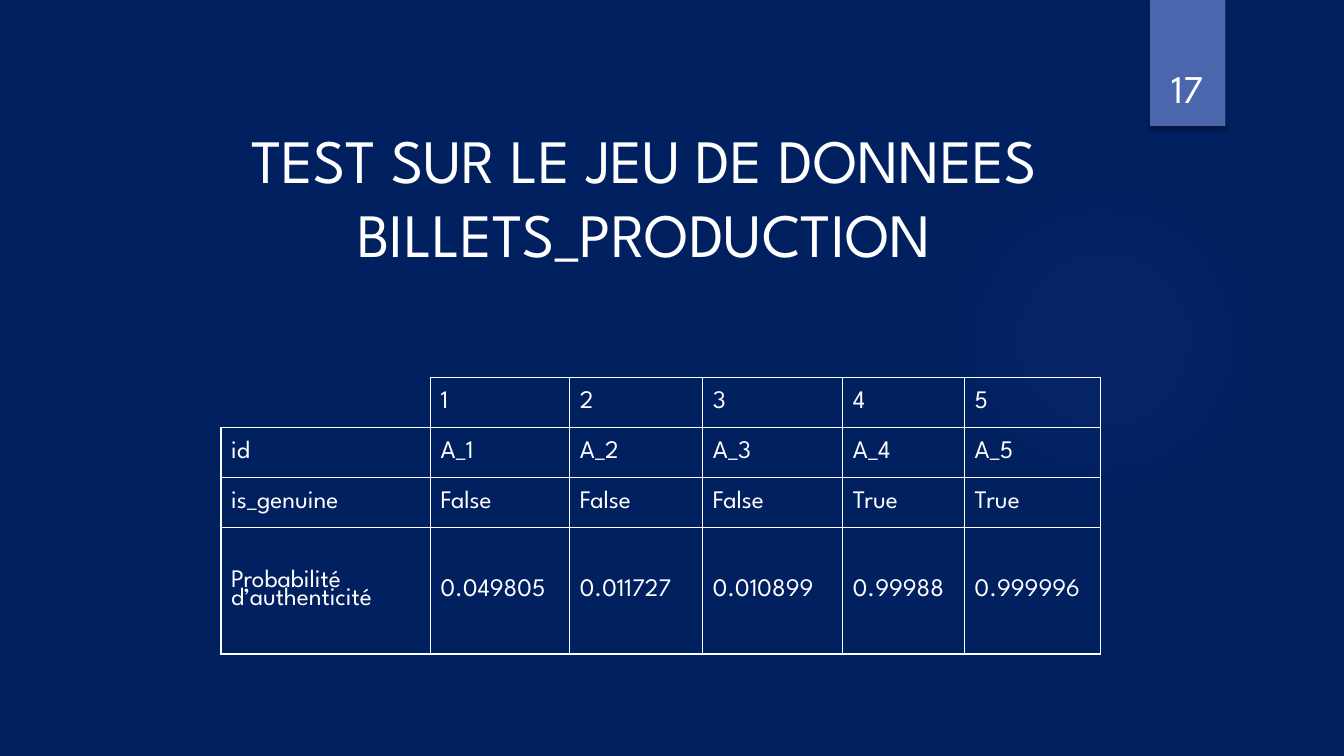
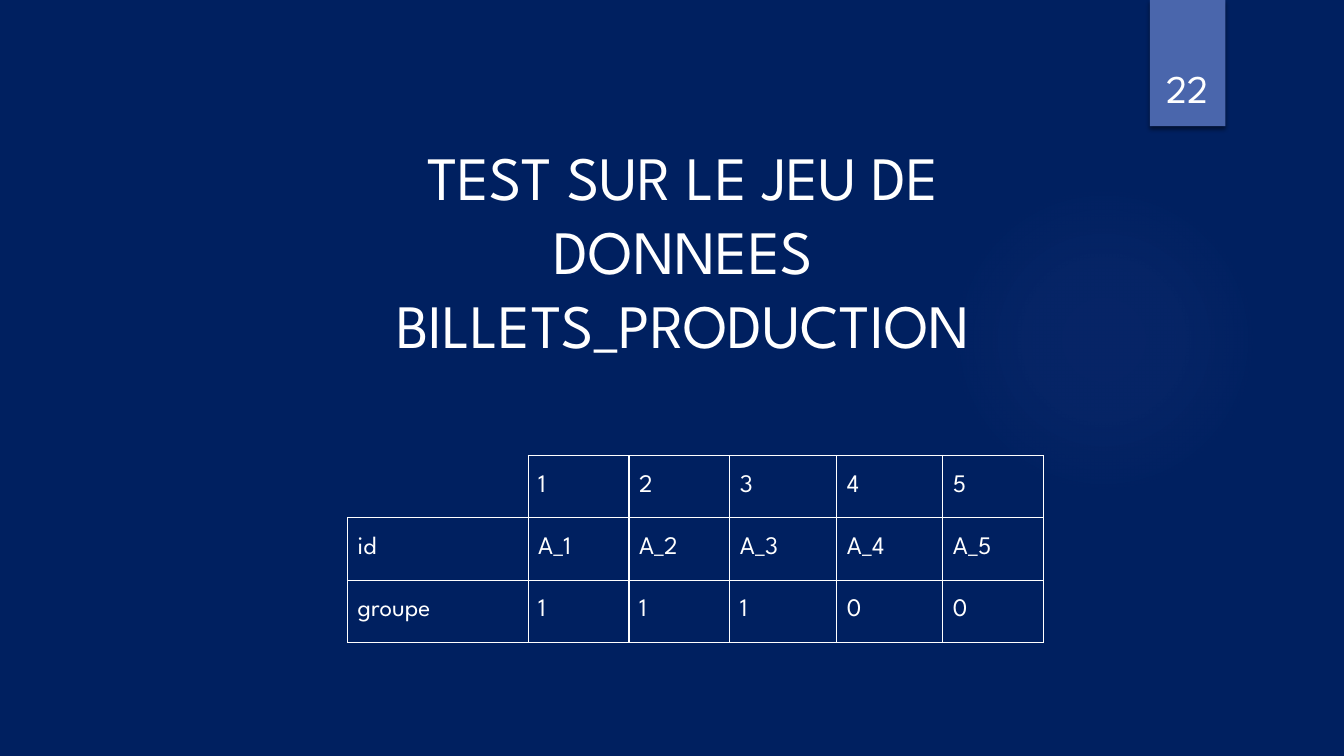
import pptx
import pptx.dml.color
import pptx.enum.shapes
import pptx.enum.text
import pptx.oxml
import pptx.oxml.ns
import pptx.util

Cm = pptx.util.Cm
Pt = pptx.util.Pt
ALIGN = pptx.enum.text.PP_ALIGN
ANCHOR = pptx.enum.text.MSO_ANCHOR
SHAPE = pptx.enum.shapes.MSO_SHAPE

FONT = "League Spartan"
NAVY = "002060"
WHITE = "FFFFFF"
BAND = "4A66AC"
GLOW = "5C64B7"
GLOW_STOPS = [(0, 7), (36, 6), (69, 0)]  # position and opacity, in percent

TITLE = "TEST SUR LE JEU DE DONNEES BILLETS_PRODUCTION"
HEADER = ["", "1", "2", "3", "4", "5"]
IDS = ["id"] + [f"A_{n}" for n in HEADER[1:]]


def rgb(color):
    return pptx.dml.color.RGBColor.from_string(color)


def xml(tag, content):
    """Make one drawing element; tag may carry attributes."""
    name = tag.split()[0]
    ns = pptx.oxml.ns.nsdecls("a")
    return pptx.oxml.parse_xml(f"<a:{tag} {ns}>{content}</a:{name}>")


def color_xml(color, alpha=100):
    return (f'<a:srgbClr val="{color}"><a:alpha val="{alpha * 1000}"/>'
            "</a:srgbClr>")


def style_paragraph(p, size, align=None):
    p.alignment = align
    p.font.name = FONT
    p.font.size = Pt(size)
    p.font.color.rgb = rgb(WHITE)


def add_plain_shape(slide, kind, left, top, width, height):
    sp = slide.shapes.add_shape(kind, Cm(left), Cm(top), Cm(width), Cm(height))
    sp.line.fill.background()
    sp.shadow.inherit = False
    return sp


def add_glow(slide):
    sp = add_plain_shape(slide, SHAPE.OVAL, 23.9, 4.65, 7.82, 7.82)
    stops = "".join(f'<a:gs pos="{pos * 1000}">{color_xml(GLOW, alpha)}</a:gs>'
                    for pos, alpha in GLOW_STOPS)
    center = '<a:fillToRect l="50000" t="50000" r="50000" b="50000"/>'
    gradient = xml("gradFill", f"<a:gsLst>{stops}</a:gsLst>"
                               f'<a:path path="circle">{center}</a:path>')
    sp._element.spPr.find(pptx.oxml.ns.qn("a:prstGeom")).addnext(gradient)


def add_number_band(slide, number):
    sp = add_plain_shape(slide, SHAPE.RECTANGLE, 28.98, 0, 1.9, 3.18)
    sp.fill.solid()
    sp.fill.fore_color.rgb = rgb(BAND)
    shadow = xml(f'outerShdw blurRad="{Pt(3)}" dist="{Pt(2)}" dir="5400000"',
                 color_xml("000000", 45))
    sp._element.spPr.find(pptx.oxml.ns.qn("a:effectLst")).append(shadow)
    tf = add_text(slide, str(number), 28, 28.75, 0.81, 2.34, 2.13)
    tf.vertical_anchor = ANCHOR.BOTTOM


def add_text(slide, text, size, left, top, width, height):
    sp = slide.shapes.add_textbox(Cm(left), Cm(top), Cm(width), Cm(height))
    tf = sp.text_frame
    tf.word_wrap = True
    p = tf.paragraphs[0]
    p.text = text
    style_paragraph(p, size, ALIGN.CENTER)
    return tf


def add_title(slide, box):
    tf = add_text(slide, TITLE, 44, *box)
    tf.auto_size = pptx.enum.text.MSO_AUTO_SIZE.SHAPE_TO_FIT_TEXT


def set_borders(cell, drawn):
    """Draw the sides named in drawn, out of LRTB, and hide the others."""
    tc_pr = cell._tc.get_or_add_tcPr()
    line = f"<a:solidFill>{color_xml(WHITE)}</a:solidFill>"
    for side in "LRTB":
        content = line if side in drawn else "<a:noFill/>"
        tc_pr.append(xml(f'ln{side} w="{Pt(1)}"', content))


def add_grid(slide, left, top, widths, heights, rows):
    """Outlined table whose top left cell is open."""
    frame = slide.shapes.add_table(len(rows), len(widths), Cm(left), Cm(top),
                                   Cm(sum(widths)), Cm(sum(heights)))
    table = frame.table
    table.first_row = False
    table.horz_banding = False
    for column, width in zip(table.columns, widths):
        column.width = Cm(width)
    for i, (height, values) in enumerate(zip(heights, rows)):
        table.rows[i].height = Cm(height)
        for j, value in enumerate(values):
            cell = table.cell(i, j)
            set_borders(cell, "RB" if i == j == 0 else "LRTB")
            cell.fill.background()
            cell.vertical_anchor = ANCHOR.MIDDLE
            p = cell.text_frame.paragraphs[0]
            p.text = value
            p.line_spacing = 0.8
            style_paragraph(p, 18)


def add_slide(prs, number):
    slide = prs.slides.add_slide(prs.slide_layouts[6])
    slide.background.fill.solid()
    slide.background.fill.fore_color.rgb = rgb(NAVY)
    add_glow(slide)
    add_number_band(slide, number)
    return slide


def main():
    prs = pptx.Presentation()
    prs.slide_width = Cm(33.87)
    prs.slide_height = Cm(19.05)

    slide = add_slide(prs, 17)
    add_grid(slide, 5.57, 9.52, [5.28, 3.51, 3.35, 3.53, 3.07, 3.43],
             [1.26, 1.26, 1.26, 3.18], [
                 HEADER,
                 IDS,
                 ["is_genuine", "False", "False", "False", "True", "True"],
                 ["Probabilité d’authenticité", "0.049805", "0.011727",
                  "0.010899", "0.99988", "0.999996"],
             ])
    add_title(slide, (5.26, 2.95, 21.97, 4.01))

    slide = add_slide(prs, 22)
    add_grid(slide, 8.76, 11.48, [4.55, 2.54, 2.54, 2.7, 2.67, 2.54],
             [1.57] * 3, [
                 HEADER,
                 IDS,
                 ["groupe", "1", "1", "1", "0", "0"],
             ])
    add_title(slide, (7.14, 3.38, 20.17, 5.89))

    prs.save("out.pptx")


if __name__ == "__main__":
    main()
